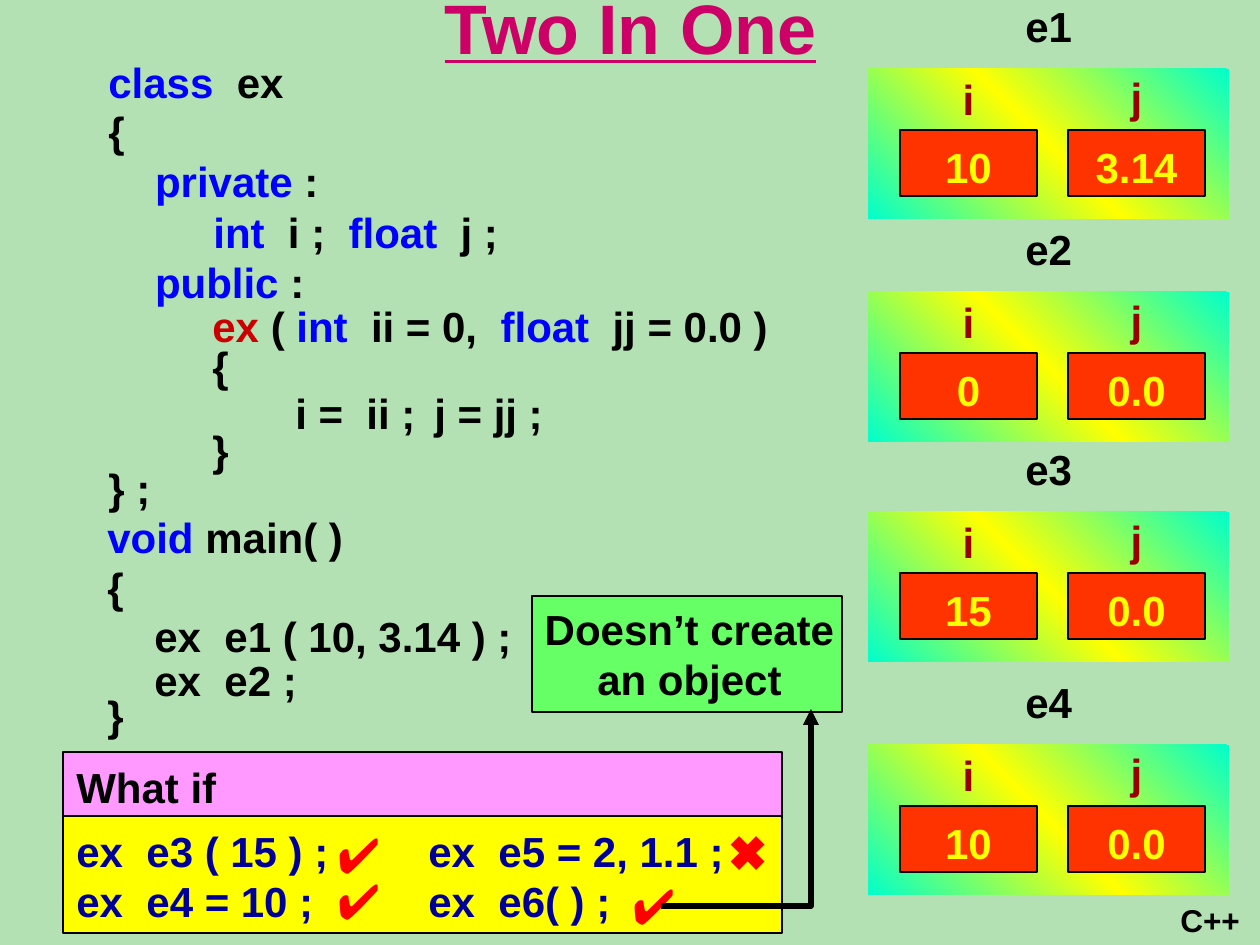
"""Build the "Two In One" slide on C++ constructors with default arguments."""
import pptx
import pptx.dml.color
import pptx.enum.shapes
import pptx.enum.text
import pptx.oxml
import pptx.oxml.ns
import pptx.util

RGB = pptx.dml.color.RGBColor
ALIGN = pptx.enum.text.PP_ALIGN
ANCHOR = pptx.enum.text.MSO_ANCHOR
PX = 914400 / 126

BACKGROUND = RGB(0xB3, 0xE1, 0xB3)
BLACK = RGB(0x00, 0x00, 0x00)
BLUE = RGB(0x00, 0x00, 0xFF)
NAVY = RGB(0x00, 0x00, 0x99)
MAGENTA = RGB(0xCC, 0x00, 0x66)
CRIMSON = RGB(0xCC, 0x00, 0x00)
MAROON = RGB(0x99, 0x00, 0x00)
RED = RGB(0xFF, 0x00, 0x00)
ORANGE = RGB(0xFF, 0x33, 0x00)
YELLOW = RGB(0xFF, 0xFF, 0x00)
PINK = RGB(0xFF, 0x99, 0xFF)
GREEN = RGB(0x66, 0xFF, 0x66)
TEAL = RGB(0x00, 0xFF, 0xCC)

CLASS_CODE = [
    [("class", BLUE), ("  ex", BLACK)],
    "{",
    [("    ", BLACK), ("private", BLUE), (" :", BLACK)],
    [("         ", BLACK), ("int", BLUE), ("  i ;  ", BLACK), ("float", BLUE), ("  j ;", BLACK)],
    [("    ", BLACK), ("public", BLUE), (" :", BLACK)],
]
CONSTRUCTOR = [
    [("ex", CRIMSON), (" ( ", BLACK), ("int", BLUE), ("  ii = 0,  ", BLACK),
     ("float", BLUE), ("  jj = 0.0 )", BLACK)],
    "{",
]
MAIN_CODE = [[("void ", BLUE), ("main( )", BLACK)], "{"]

CODE_BOXES = [
    (96, 64, 422, 265, CLASS_CODE, (0.7,)),
    (200, 304, 584, 93, CONSTRUCTOR, (0.8, 0.8)),
    (283, 381, 160, 63, ["i =  ii ;"], ()),
    (422, 381, 138, 63, ["j = jj ;"], ()),
    (200, 418, 46, 63, ["}"], ()),
    (96, 456, 80, 63, ["} ;"], ()),
    (95, 505, 265, 113, MAIN_CODE, ()),
    (142, 604, 386, 63, ["ex  e1 ( 10, 3.14 ) ;"], ()),
    (142, 648, 172, 63, ["ex  e2 ;"], ()),
    (95, 673, 46, 73, ["}"], (1.2,)),
]
QUESTIONS = [
    (64, ["ex  e3 ( 15 ) ;", "ex  e4 = 10 ;"]),
    (416, ["ex  e5 = 2, 1.1 ;", "ex  e6( ) ;"]),
]
MARKS = [("✔", 325, 818, 57), ("✖", 716, 815, 65), ("✔", 325, 864, 57), ("✔", 620, 869, 57)]
OBJECTS = [
    ("e1", 69, "10", "3.14"),
    ("e2", 292, "0", "0.0"),
    ("e3", 512, "15", "0.0"),
    ("e4", 745, "10", "0.0"),
]
PANEL_X, PANEL_W, PANEL_H = 868, 361, 150
CELL_W, CELL_H = 137, 66
MEMBERS = [("i", 900, -2), ("j", 1068, -4)]
VALUE_WIDTHS = {1: 52, 2: 76, 3: 90, 4: 112}
ARROW = [(661, 906), (811, 906), (811, 709)]


def emu(*lengths):
    return [round(n * PX) for n in lengths]


def add_text(s, x, y, w, h, paras, size=24, color=BLACK, align=ALIGN.LEFT, anchor=ANCHOR.TOP,
             underline=False, wrap=False, grow=True, spacing=()):
    tf = s.shapes.add_textbox(*emu(x, y, w, h)).text_frame
    tf.word_wrap = wrap
    tf.vertical_anchor = anchor
    sizes = pptx.enum.text.MSO_AUTO_SIZE
    tf.auto_size = sizes.SHAPE_TO_FIT_TEXT if grow else sizes.NONE
    for n, para in enumerate(paras):
        p = tf.add_paragraph() if n else tf.paragraphs[0]
        p.alignment = align
        if n < len(spacing):
            p.line_spacing = spacing[n]
        for words, tint in [(para, color)] if isinstance(para, str) else para:
            r = p.add_run()
            r.text = words
            r.font.name = "Arial"
            r.font.size = pptx.util.Pt(size)
            r.font.bold = True
            r.font.underline = underline
            r.font.color.rgb = tint


def add_rect(s, x, y, w, h, fill=None):
    sp = s.shapes.add_shape(pptx.enum.shapes.MSO_SHAPE.RECTANGLE, *emu(x, y, w, h))
    sp.shadow.inherit = False
    if fill is not None:
        sp.fill.solid()
        sp.fill.fore_color.rgb = fill
        sp.line.color.rgb = BLACK
        sp.line.width = pptx.util.Pt(0.75)
    return sp


def add_panel(s, x, y, w, h):
    sp = add_rect(s, x, y, w, h)
    sp.line.fill.background()
    stops = "".join(f'<a:gs pos="{pos}"><a:srgbClr val="{color}"/></a:gs>'
                    for pos, color in [(0, TEAL), (50000, YELLOW), (100000, TEAL)])
    grad = pptx.oxml.parse_xml(
        f'<a:gradFill {pptx.oxml.ns.nsdecls("a")} rotWithShape="1"><a:gsLst>{stops}</a:gsLst>'
        '<a:lin ang="8100000" scaled="0"/></a:gradFill>')
    sp.element.spPr.find(pptx.oxml.ns.qn("a:prstGeom")).addnext(grad)


def add_object(s, name, y, values):
    add_text(s, 1013, y - 75, 76, 63, [name])
    add_panel(s, PANEL_X, y, PANEL_W, PANEL_H)
    for (member, x, dy), value in zip(MEMBERS, values):
        mid = x + CELL_W / 2
        w = VALUE_WIDTHS[len(value)]
        add_rect(s, x, y + 61, CELL_W, CELL_H, ORANGE)
        add_text(s, mid - 20, y + dy, 40, 63, [member], color=MAROON, align=ALIGN.CENTER)
        add_text(s, mid - w / 2, y + 66, w, 63, [value], color=YELLOW, align=ALIGN.CENTER)


def add_arrow(s, points):
    builder = s.shapes.build_freeform(*points[0], scale=PX)
    builder.add_line_segments(points[1:], close=False)
    sp = builder.convert_to_shape()
    sp.shadow.inherit = False
    sp.fill.background()
    sp.line.color.rgb = BLACK
    sp.line.width = pptx.util.Pt(3)
    sp.line._get_or_add_ln().append(pptx.oxml.parse_xml(
        f'<a:tailEnd {pptx.oxml.ns.nsdecls("a")} type="triangle"/>'))


def main():
    prs = pptx.Presentation()
    prs.slide_width, prs.slide_height = emu(1260, 945)
    s = prs.slides.add_slide(prs.slide_layouts[6])
    s.background.fill.solid()
    s.background.fill.fore_color.rgb = BACKGROUND

    add_text(s, 95, -53, 1071, 158, ["Two In One"], size=40, color=MAGENTA, align=ALIGN.CENTER,
             anchor=ANCHOR.MIDDLE, underline=True, wrap=True, grow=False)
    for x, y, w, h, paras, spacing in CODE_BOXES:
        add_text(s, x, y, w, h, paras, spacing=spacing)

    add_rect(s, 63, 752, 719, 117, PINK)
    add_text(s, 64, 755, 187, 63, ["What if"], wrap=True)
    add_rect(s, 63, 816, 719, 117, YELLOW)
    for x, paras in QUESTIONS:
        add_text(s, x, 819, 410, 113, paras, color=NAVY, wrap=True)
    for mark, x, y, w in MARKS:
        add_text(s, x, y, w, 72, [mark], size=28, color=RED)

    for name, y, *values in OBJECTS:
        add_object(s, name, y, values)

    add_rect(s, 532, 596, 310, 116, GREEN)
    add_text(s, 525, 597, 329, 113, ["Doesn’t create an object"], align=ALIGN.CENTER, wrap=True)
    add_arrow(s, ARROW)
    add_text(s, 1168, 895, 91, 50, ["C++"], size=18)
    prs.save("out.pptx")


if __name__ == "__main__":
    main()
